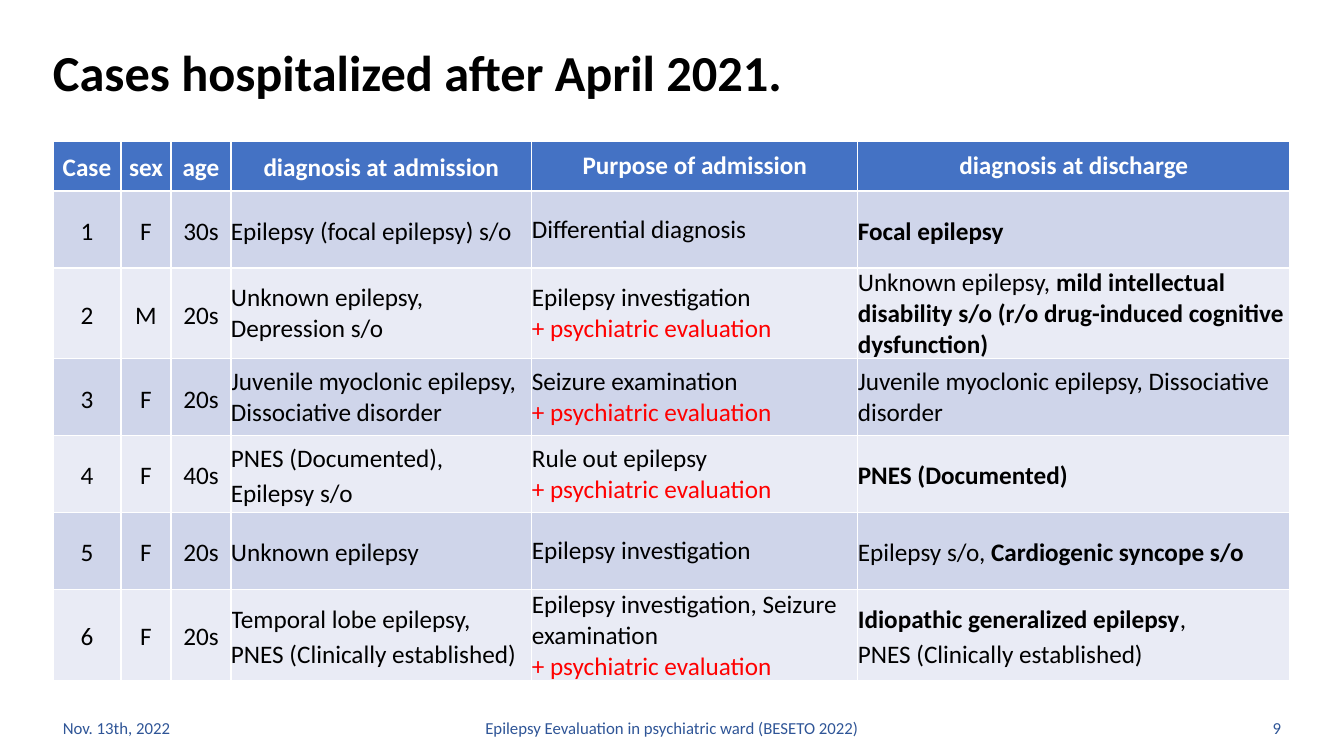
import pptx
import pptx.dml.color
import pptx.enum.text
import pptx.util

RGBColor = pptx.dml.color.RGBColor
ALIGN = pptx.enum.text.PP_ALIGN
ANCHOR = pptx.enum.text.MSO_ANCHOR

BLACK = RGBColor(0x00, 0x00, 0x00)
WHITE = RGBColor(0xFF, 0xFF, 0xFF)
RED = RGBColor(0xFF, 0x00, 0x00)
NAVY = RGBColor(0x2F, 0x55, 0x97)
HEADER_BLUE = RGBColor(0x44, 0x72, 0xC4)
BANDS = (RGBColor(0xE9, 0xEB, 0xF5), RGBColor(0xCF, 0xD5, 0xEA))

FONT = "Calibri"
LOOSE = 1.14
EMU_PER_PIXEL = 914400 / 100.8
PAGE_WIDTH, PAGE_HEIGHT = 1344, 756
LEFT, CONTENT_WIDTH = 53, 1237

TITLE = "Cases hospitalized after April 2021."
FOOTERS = [  # text, width, alignment
    ("Nov. 13th, 2022", 302, ALIGN.LEFT),
    ("Epilepsy Eevaluation in psychiatric ward (BESETO 2022)", 634, ALIGN.CENTER),
    ("9", 302, ALIGN.RIGHT),
]

# Asterisks enclose bold words; a line that starts with "+" is red.
EVALUATION = "\n+ psychiatric evaluation"
CASES = [
    ("Case", "sex", "age", "diagnosis at admission", "Purpose of admission",
     "diagnosis at discharge"),
    ("1", "F", "30s", "Epilepsy (focal epilepsy) s/o", "Differential diagnosis",
     "*Focal epilepsy*"),
    ("2", "M", "20s", "Unknown epilepsy,\nDepression s/o",
     "Epilepsy investigation" + EVALUATION,
     "Unknown epilepsy, *mild intellectual disability s/o "
     "(r/o drug-induced cognitive dysfunction)*"),
    ("3", "F", "20s", "Juvenile myoclonic epilepsy,\nDissociative disorder",
     "Seizure examination" + EVALUATION,
     "Juvenile myoclonic epilepsy, Dissociative disorder"),
    ("4", "F", "40s", "PNES (Documented),\nEpilepsy s/o",
     "Rule out epilepsy" + EVALUATION, "*PNES (Documented)*"),
    ("5", "F", "20s", "Unknown epilepsy", "Epilepsy investigation",
     "Epilepsy s/o, *Cardiogenic syncope s/o*"),
    ("6", "F", "20s", "Temporal lobe epilepsy,\nPNES (Clinically established)",
     "Epilepsy investigation, Seizure examination" + EVALUATION,
     "*Idiopathic generalized epilepsy*,\nPNES (Clinically established)"),
]
COLUMN_WIDTHS = (68, 50, 60, 301, 326, 432)
HEADER_HEIGHT, CASE_HEIGHT = 50, 77
PURPOSE, DISCHARGE = 4, 5
CENTRED_COLUMNS = 3
TIGHT_CASES = (2, 3)


def emu(pixels):
    """Turn pixels into EMU."""
    return pptx.util.Emu(round(pixels * EMU_PER_PIXEL))


def write(frame, text, size=18, color=BLACK, bold=False, align=ALIGN.LEFT, spacing=1.0):
    """Write marked-up text into a text frame, one paragraph a line."""
    frame.word_wrap = True
    for index, line in enumerate(text.split("\n")):
        para = frame.add_paragraph() if index else frame.paragraphs[0]
        para.alignment = align
        para.line_spacing = spacing
        for part, words in enumerate(line.split("*")):
            if words:
                span = para.add_run()
                span.text = words
                span.font.name = FONT
                span.font.size = pptx.util.Pt(size)
                span.font.bold = bold or part % 2 == 1
                span.font.color.rgb = RED if line.startswith("+") else color


def add_text(page, left, top, width, height, text, **style):
    """Add a text box and return it."""
    box = page.shapes.add_textbox(emu(left), emu(top), emu(width), emu(height))
    write(box.text_frame, text, **style)
    return box


def is_tight(row, column):
    """Tell whether a cell has single line spacing."""
    return (column == PURPOSE
            or (row == 0 and column == DISCHARGE)
            or (row in TIGHT_CASES and column >= CENTRED_COLUMNS))


def add_cases(page):
    """Add the table of cases."""
    height = HEADER_HEIGHT + CASE_HEIGHT * (len(CASES) - 1)
    table = page.shapes.add_table(
        len(CASES), len(COLUMN_WIDTHS),
        emu(LEFT), emu(141), emu(CONTENT_WIDTH), emu(height)).table
    for column, width in zip(table.columns, COLUMN_WIDTHS):
        column.width = emu(width)
    for row, texts in enumerate(CASES):
        header = row == 0
        table.rows[row].height = emu(HEADER_HEIGHT if header else CASE_HEIGHT)
        for column, text in enumerate(texts):
            cell = table.cell(row, column)
            cell.margin_left = cell.margin_right = 0
            cell.margin_top = cell.margin_bottom = 0
            cell.vertical_anchor = ANCHOR.MIDDLE
            cell.fill.solid()
            cell.fill.fore_color.rgb = HEADER_BLUE if header else BANDS[row % 2]
            centred = header or column < CENTRED_COLUMNS
            write(cell.text_frame, text, bold=header,
                  color=WHITE if header else BLACK,
                  align=ALIGN.CENTER if centred else ALIGN.LEFT,
                  spacing=1.0 if is_tight(row, column) else LOOSE)


deck = pptx.Presentation()
deck.slide_width, deck.slide_height = emu(PAGE_WIDTH), emu(PAGE_HEIGHT)
page = deck.slides.add_slide(deck.slide_layouts[6])

title = add_text(page, LEFT, 48, CONTENT_WIDTH, 76, TITLE,
                 size=36, bold=True, spacing=0.9)
title.text_frame.margin_left = title.text_frame.margin_top = 0

footer_left = LEFT
for text, width, align in FOOTERS:
    footer = add_text(page, footer_left, 708, width, 40, text,
                      size=12, color=NAVY, align=align)
    footer.text_frame.vertical_anchor = ANCHOR.MIDDLE
    footer_left += width

add_cases(page)
deck.save("out.pptx")
